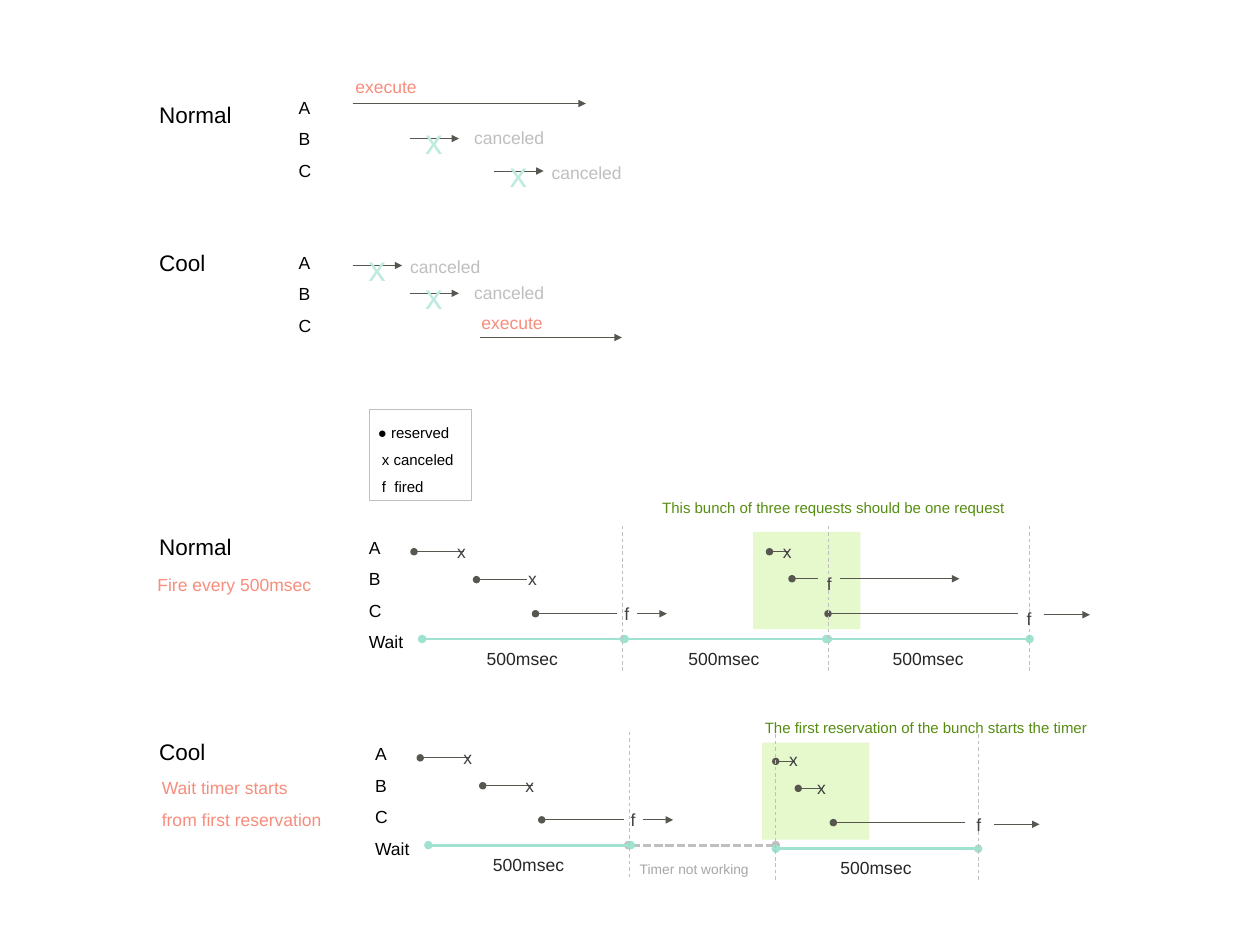
from dataclasses import dataclass

from lxml.etree import SubElement
from pptx import Presentation
from pptx.dml.color import RGBColor
from pptx.enum.dml import MSO_LINE_DASH_STYLE as Dash
from pptx.enum.shapes import MSO_CONNECTOR, MSO_SHAPE
from pptx.enum.text import MSO_ANCHOR, MSO_AUTO_SIZE, PP_ALIGN
from pptx.oxml.ns import qn
from pptx.util import Pt


@dataclass(frozen=True)
class Stroke:
    color: str
    weight: float = 0.75
    dash: Dash | None = None
    head: str = ""
    tail: str = ""


@dataclass(frozen=True)
class Lettering:
    size: float
    color: str
    width: float
    height: float = 32.4
    wrap: bool = False


@dataclass(frozen=True)
class Segment:
    stroke: Stroke
    x1: float
    y1: float
    x2: float
    y2: float


@dataclass(frozen=True)
class Label:
    text: str
    style: Lettering
    left: float
    top: float


ARROW = Stroke("57564F", tail="triangle")
RESERVED = Stroke("57564F", head="oval")
WINDOW = Stroke("9EE2CF", 2.25, head="oval", tail="oval")
IDLE = Stroke("BFBFBF", 2.25, Dash.SQUARE_DOT, "oval", "oval")
TICK = Stroke("BFBFBF", dash=Dash.DASH)

NORMAL = Lettering(18, "000000", 79.2, 40.3)
COOL = Lettering(18, "000000", 53.3, 40.3)
REQUESTS = Lettering(14, "000000", 24.5, 83.5)
LANES = Lettering(14, "000000", 45.4, 108.7)
CROSS = Lettering(28, "BEEBDF", 45.4, 58.3, True)
EXECUTE = Lettering(14, "F78D7C", 67.7)
CANCELED = Lettering(14, "BFBFBF", 74.2)
FIRE_RULE = Lettering(14, "F78D7C", 150.5)
WAIT_RULE = Lettering(14, "F78D7C", 165.6, 58.3)
DURATION = Lettering(14, "262626", 77)
CANCEL_MARK = Lettering(14, "404040", 22.3)
FIRE_MARK = Lettering(14, "404040", 19.4)
INSIGHT = Lettering(12, "568D11", 325.4, 28.8, True)
TIMER_NOTE = Lettering(11, "A6A6A6", 113.8, 27.4)

BUNCHES = [(602.6, 425.5), (609.8, 594)]
CANCELED_ARROWS = [(327.6, 110.9), (395.3, 136.8), (327.6, 234.7), (282.2, 212.4)]
FIRST_WINDOWS = [(0, 0, 415.4), (5, 164.9, 413.3)]

flat_segments = [
    (ARROW, 282.2, 82.8, 468.7),
    (ARROW, 383.8, 270, 497.5),
    (WINDOW, 499, 511.2, 661),
    (WINDOW, 662.4, 511.2, 823.7),
    (RESERVED, 615.6, 441.4, 631.4),
    (RESERVED, 633.6, 463, 654.5),
    (ARROW, 671.8, 463, 767.5),
    (RESERVED, 662.4, 491, 814.3),
    (ARROW, 835.2, 491.8, 871.9),
    (WINDOW, 620.6, 679, 782.6),
    (RESERVED, 620.6, 609.1, 635.8),
    (RESERVED, 638.6, 630.7, 658.8),
    (RESERVED, 666.7, 658.1, 771.8),
    (ARROW, 794.9, 659.5, 831.6),
]
ticks = [(662.4, 420.5), (823.7, 420.5), (620.6, 587.5), (782.6, 587.5)]
TICK_HEIGHT = 118.4

segments = [Segment(stroke, x1, y, x2, y) for stroke, x1, y, x2 in flat_segments]
segments += [Segment(TICK, x, y, x, y + TICK_HEIGHT) for x, y in ticks]

labels = [
    Label("Normal", NORMAL, 120.2, 66.2),
    Label("Cool", COOL, 120.2, 185),
    Label("Normal", NORMAL, 120.2, 411.8),
    Label("Cool", COOL, 120.2, 576),
    Label("A\nB\nC", REQUESTS, 231.8, 65.5),
    Label("A\nB\nC", REQUESTS, 231.8, 189.4),
    Label("execute", EXECUTE, 277.2, 49),
    Label("execute", EXECUTE, 378, 237.6),
    Label("canceled", CANCELED, 372.2, 90),
    Label("canceled", CANCELED, 434.2, 117.4),
    Label("canceled", CANCELED, 372.2, 213.8),
    Label("canceled", CANCELED, 321.1, 193),
    Label("Fire every 500msec", FIRE_RULE, 118.8, 447.1),
    Label("Wait timer starts\nfrom first reservation", WAIT_RULE, 122.4, 609.8),
    Label("This bunch of three requests should be one request", INSIGHT, 522.7, 388.1),
    Label("The first reservation of the bunch starts the timer", INSIGHT, 604.8, 563.8),
    Label("Timer not working", TIMER_NOTE, 504.7, 678.2),
    Label("500msec", DURATION, 543.6, 506.2),
    Label("500msec", DURATION, 707, 506.2),
    Label("500msec", DURATION, 665.3, 673.9),
    Label("x", CANCEL_MARK, 619.2, 420.5),
    Label("x", CANCEL_MARK, 624.2, 587.5),
    Label("x", CANCEL_MARK, 646.6, 609.8),
    Label("f", FIRE_MARK, 654.5, 446.4),
    Label("f", FIRE_MARK, 814.3, 474.5),
    Label("f", FIRE_MARK, 774, 639.4),
]

for x, y in CANCELED_ARROWS:
    segments.append(Segment(ARROW, x, y, x + 39.6, y))
    labels.append(Label("x", CROSS, x + 5.4, y - 35.4))

for dx, dy, second_cancel in FIRST_WINDOWS:
    segments += [
        Segment(stroke, x1 + dx, y + dy, x2 + dx, y + dy)
        for stroke, x1, y, x2 in [
            (WINDOW, 337.7, 511.2, 499.7),
            (RESERVED, 331.2, 441.4, 370.8),
            (RESERVED, 381.2, 463.7, 421.2),
            (RESERVED, 428.4, 491, 493.9),
            (ARROW, 509.8, 491, 533.5),
        ]
    ]
    segments.append(Segment(TICK, 498.2 + dx, 420.5 + dy, 498.2 + dx, 538.6 + dy))
    labels += [
        Label("A\nB\nC\nWait", LANES, 288 + dx, 417.6 + dy),
        Label("500msec", DURATION, 382.3 + dx, 506.2 + dy),
        Label("x", CANCEL_MARK, 358.6 + dx, 420.5 + dy),
        Label("x", CANCEL_MARK, second_cancel, 442.8 + dy),
        Label("f", FIRE_MARK, 492.5 + dx, 470.2 + dy),
    ]


def rgb(color: str) -> RGBColor:
    return RGBColor.from_string(color)


def write(shape, text: str, style: Lettering) -> None:
    frame = shape.text_frame
    frame.text = text
    frame_format = {
        "word_wrap": style.wrap,
        "auto_size": MSO_AUTO_SIZE.SHAPE_TO_FIT_TEXT,
    }
    for name, value in frame_format.items():
        setattr(frame, name, value)
    for paragraph in frame.paragraphs:
        paragraph.line_spacing = 1.5
        paragraph.alignment = PP_ALIGN.LEFT
        for run in paragraph.runs:
            for name, value in {"name": "Arial", "size": Pt(style.size)}.items():
                setattr(run.font, name, value)
            run.font.color.rgb = rgb(style.color)


def draw_label(slide, label: Label) -> None:
    style = label.style
    box = slide.shapes.add_textbox(
        Pt(label.left), Pt(label.top), Pt(style.width), Pt(style.height)
    )
    write(box, label.text, style)


def draw_segment(slide, segment: Segment) -> None:
    stroke = segment.stroke
    connector = slide.shapes.add_connector(
        MSO_CONNECTOR.STRAIGHT,
        Pt(segment.x1), Pt(segment.y1), Pt(segment.x2), Pt(segment.y2),
    )
    line = connector.line
    line.color.rgb = rgb(stroke.color)
    line.width = Pt(stroke.weight)
    if stroke.dash:
        line.dash_style = stroke.dash
    properties = connector.element.spPr
    outline = properties.find(qn("a:ln"))
    for tag, kind in (("a:headEnd", stroke.head), ("a:tailEnd", stroke.tail)):
        if kind:
            SubElement(outline, qn(tag), type=kind)
    SubElement(properties, qn("a:effectLst"))


def draw_rectangle(slide, left: float, top: float, width: float, height: float):
    rectangle = slide.shapes.add_shape(
        MSO_SHAPE.RECTANGLE, Pt(left), Pt(top), Pt(width), Pt(height)
    )
    rectangle.shadow.inherit = False
    return rectangle


def draw_bunch(slide, left: float, top: float) -> None:
    bunch = draw_rectangle(slide, left, top, 85.7, 77.8)
    bunch.fill.solid()
    bunch.fill.fore_color.rgb = rgb("DCF7BA")
    bunch.line.fill.background()
    color = bunch.element.spPr.find(qn("a:solidFill")).find(qn("a:srgbClr"))
    SubElement(color, qn("a:alpha"), val="72000")


def draw_legend(slide) -> None:
    legend = draw_rectangle(slide, 295.2, 327.6, 82.1, 72.7)
    legend.fill.background()
    legend.line.color.rgb = rgb("BFBFBF")
    legend.line.width = Pt(0.75)
    write(legend, "● reserved\n x canceled\n f  fired", Lettering(12, "000000", 82.1))
    legend.text_frame.vertical_anchor = MSO_ANCHOR.MIDDLE


presentation = Presentation()
presentation.slide_width, presentation.slide_height = Pt(1008), Pt(756)
slide = presentation.slides.add_slide(presentation.slide_layouts[6])
draw_segment(slide, Segment(IDLE, 502.6, 676.1, 620.6, 676.1))
for left, top in BUNCHES:
    draw_bunch(slide, left, top)
draw_legend(slide)
for segment in segments:
    draw_segment(slide, segment)
for label in labels:
    draw_label(slide, label)
presentation.save("out.pptx")
